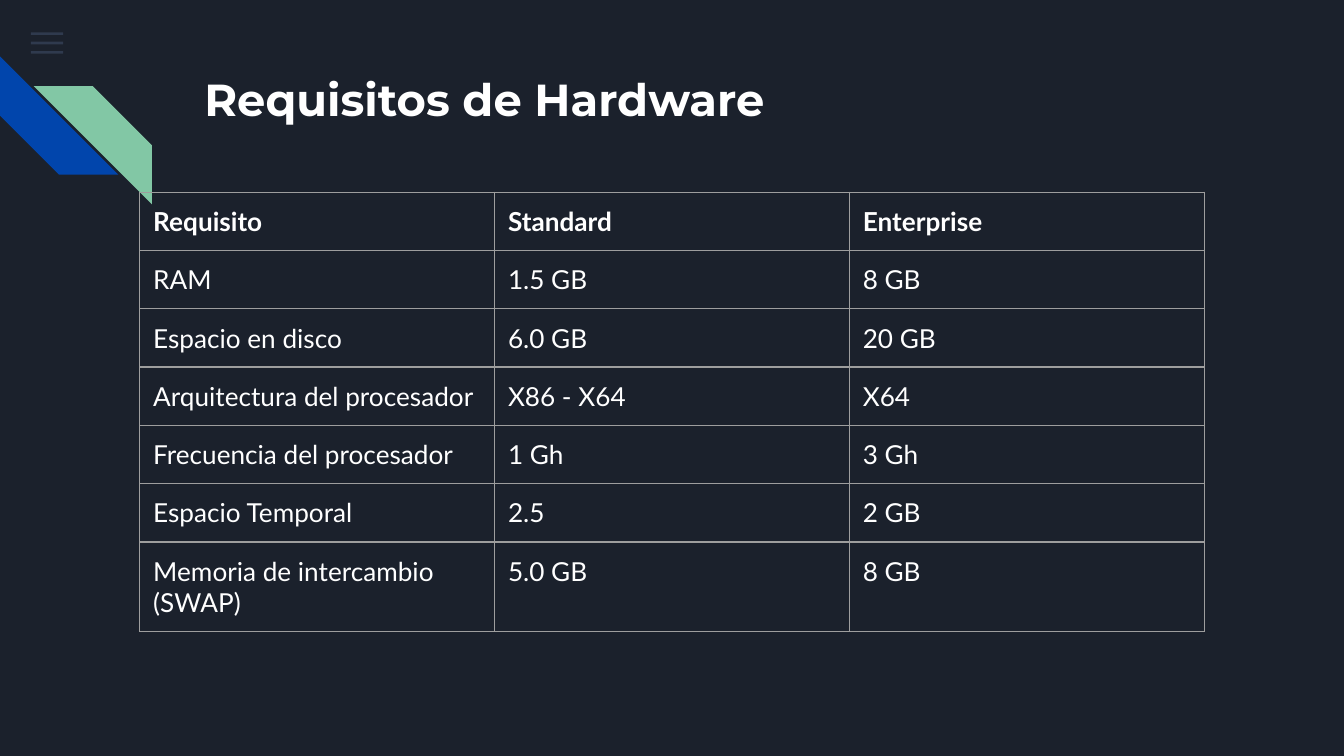
import pptx
import pptx.dml.color
import pptx.enum.shapes
import pptx.enum.text
import pptx.oxml
import pptx.oxml.ns
import pptx.util
from lxml import etree

Inches = pptx.util.Inches
Pt = pptx.util.Pt
SHAPE = pptx.enum.shapes.MSO_SHAPE
qn = pptx.oxml.ns.qn

COLORS = {
    "background": "1B212C",
    "menu": "55688B",
    "blue": "0145AC",
    "green": "82C7A5",
    "text": "FFFFFF",
    "border": "9E9E9E",
}

REQUIREMENTS = [
    ("Requisito", "Standard", "Enterprise"),
    ("RAM", "1.5 GB", "8 GB"),
    ("Espacio en disco", "6.0 GB", "20 GB"),
    ("Arquitectura del procesador", "X86 - X64", "X64"),
    ("Frecuencia del procesador", "1 Gh", "3 Gh"),
    ("Espacio Temporal", "2.5", "2 GB"),
    ("Memoria de intercambio (SWAP)", "5.0 GB", "8 GB"),
]


def rgb(name):
    return pptx.dml.color.RGBColor.from_string(COLORS[name])


def write(tf, text, font="Lato", size=14, color="text", bold=False):
    p = tf.paragraphs[0]
    p.alignment = pptx.enum.text.PP_ALIGN.LEFT
    r = p.add_run()
    r.text = text
    r.font.name = font
    r.font.size = Pt(size)
    r.font.bold = bold
    r.font.color.rgb = rgb(color)


def set_margins(box, margin=0.1):
    """Give a cell or text frame the same inset on all sides."""
    box.margin_left = box.margin_right = Inches(margin)
    box.margin_top = box.margin_bottom = Inches(margin)


def set_borders(cell, color="border", width=0.75):
    tcPr = cell._tc.get_or_add_tcPr()
    for i, side in enumerate(("a:lnL", "a:lnR", "a:lnT", "a:lnB")):
        ln = etree.Element(qn(side), w=str(Pt(width)))
        fill = etree.SubElement(ln, qn("a:solidFill"))
        etree.SubElement(fill, qn("a:srgbClr"), val=COLORS[color])
        tcPr.insert(i, ln)


class Deck:
    def __init__(self, width, height):
        self.prs = pptx.Presentation()
        self.prs.slide_width = Inches(width)
        self.prs.slide_height = Inches(height)
        self.s = None

    def add_slide(self):
        self.s = self.prs.slides.add_slide(self.prs.slide_layouts[5])
        self.s.background.fill.solid()
        self.s.background.fill.fore_color.rgb = rgb("background")

    def shape(self, kind, left, top, width, height, color, rotation=0, alpha=None):
        sp = self.s.shapes.add_shape(
            kind, Inches(left), Inches(top), Inches(width), Inches(height))
        sp.shadow.inherit = False
        sp.rotation = rotation
        sp.fill.solid()
        sp.fill.fore_color.rgb = rgb(color)
        sp.line.fill.background()
        if alpha is not None:
            clr = sp._element.spPr.find(".//" + qn("a:srgbClr"))
            etree.SubElement(clr, qn("a:alpha"), val=str(alpha * 1000))

    def title(self, text, left, top, width, height):
        sp = self.s.shapes.title
        sp.left, sp.top = Inches(left), Inches(top)
        sp.width, sp.height = Inches(width), Inches(height)
        tf = sp.text_frame
        tf.word_wrap = True
        tf.auto_size = pptx.enum.text.MSO_AUTO_SIZE.NONE
        tf.vertical_anchor = pptx.enum.text.MSO_ANCHOR.TOP
        set_margins(tf)
        write(tf, text, font="Montserrat", size=24, bold=True)

    def table(self, rows, left, top, col_width, row_height):
        n_rows, n_cols = len(rows), len(rows[0])
        table = self.s.shapes.add_table(
            n_rows, n_cols, Inches(left), Inches(top),
            Inches(col_width * n_cols), Inches(row_height * n_rows)).table
        table.first_row = table.horz_banding = False
        for i, row in enumerate(rows):
            table.rows[i].height = Inches(row_height)
            for j, text in enumerate(row):
                cell = table.cell(i, j)
                cell.fill.background()
                set_margins(cell)
                set_borders(cell)
                write(cell.text_frame, text, bold=i == 0)
        for column in table.columns:
            column.width = Inches(col_width)


def main():
    deck = Deck(10, 10 * 9 / 16)
    deck.add_slide()
    for i in range(3):
        deck.shape(SHAPE.RECTANGLE, 0.23, 0.24 + 0.07 * i, 0.24, 0.02,
                   "menu", alpha=36)
    deck.shape(SHAPE.DIAGONAL_STRIPE, 0, 0.42, 0.88, 0.88, "blue", rotation=270)
    deck.shape(SHAPE.DIAGONAL_STRIPE, 0.25, 0.64, 0.88, 0.88, "green", rotation=90)
    deck.title("Requisitos de Hardware", 1.42, 0.43, 7.7, 1)
    deck.table(REQUIREMENTS, 1.04, 1.43, 2.64, 0.42)
    deck.prs.save("out.pptx")


if __name__ == "__main__":
    main()
